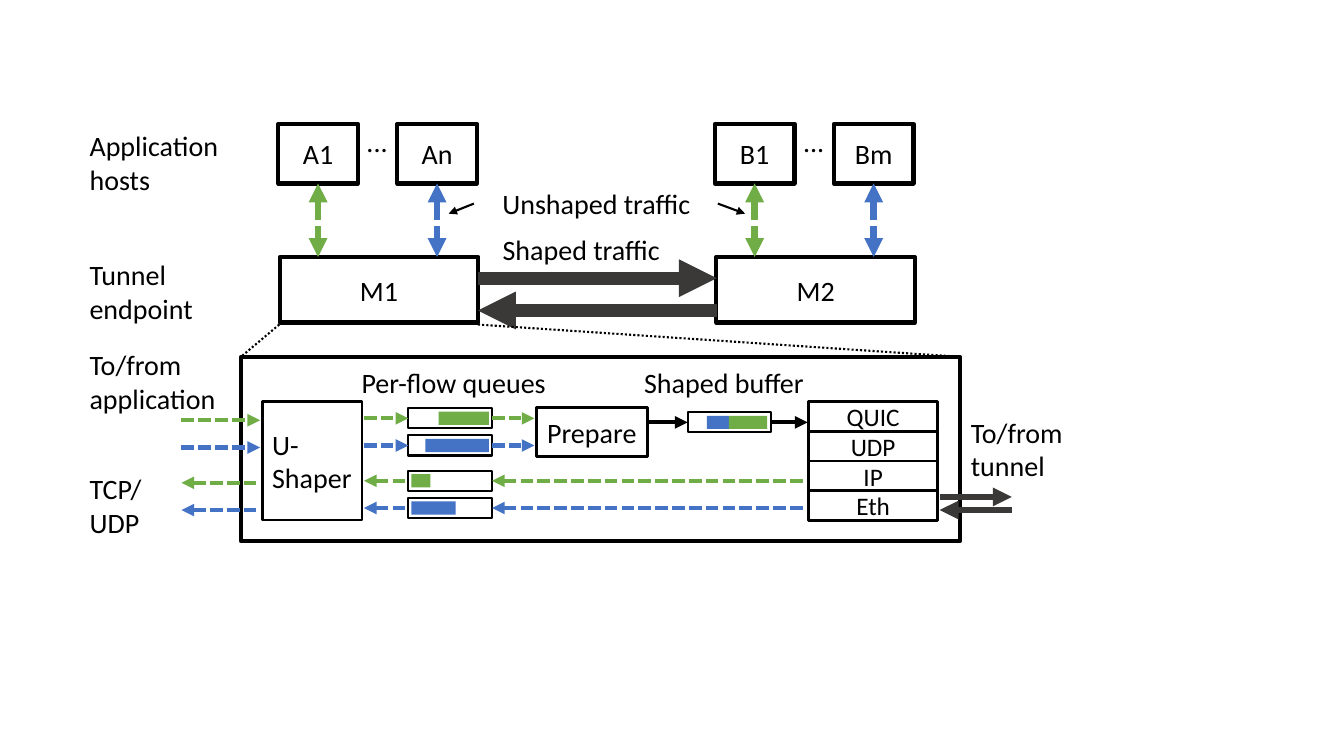
from lxml import etree
from pptx import Presentation
from pptx.dml.color import RGBColor
from pptx.enum.dml import MSO_LINE
from pptx.enum.shapes import MSO_CONNECTOR, MSO_SHAPE
from pptx.enum.text import MSO_ANCHOR, PP_ALIGN
from pptx.oxml.ns import qn
from pptx.util import Inches, Pt

RECT, STRAIGHT = MSO_SHAPE.RECTANGLE, MSO_CONNECTOR.STRAIGHT
DASH, DOT = MSO_LINE.SQUARE_DOT, MSO_LINE.ROUND_DOT
LEFT, CENTER = PP_ALIGN.LEFT, PP_ALIGN.CENTER
TOP, MIDDLE = MSO_ANCHOR.TOP, MSO_ANCHOR.MIDDLE
SIDE_LEFT, SIDE_BOTTOM, SIDE_RIGHT = 1, 2, 3

BLACK = RGBColor(0x00, 0x00, 0x00)
GREEN = RGBColor(0x70, 0xAD, 0x47)
BLUE = RGBColor(0x44, 0x72, 0xC4)
GRAY = RGBColor(0x3B, 0x38, 0x38)
FLOWS = (GREEN, BLUE)

# The slide is a grid of square cells; every length below counts cells
CELL = Inches(0.1)
LINE_HEIGHT, TWO_LINES = 4.4, 7.7


def cells(*counts):
    return [round(count * CELL) for count in counts]


def write(frame, text, align, anchor, size=20):
    frame.word_wrap = True
    frame.vertical_anchor = anchor
    frame.text = text
    paragraph = frame.paragraphs[0]
    paragraph.alignment = align
    font_format = {"name": "Calibri", "size": Pt(size)}
    for run in paragraph.runs:
        for attribute, value in font_format.items():
            setattr(run.font, attribute, value)
        run.font.color.rgb = BLACK


def outline(slide, x, y, w, h, weight, text="", size=20, align=CENTER):
    frame = slide.shapes.add_shape(RECT, *cells(x, y, w, h))
    frame.shadow.inherit = False
    frame.fill.background()
    frame.line.color.rgb = BLACK
    frame.line.width = Pt(weight)
    if text:
        write(frame.text_frame, text, align, MIDDLE, size)
    return frame


def bar(slide, x, y, w, color):
    """Filled part of a queue or buffer."""
    block = slide.shapes.add_shape(RECT, *cells(x, y, w, 1.3))
    block.shadow.inherit = False
    block.fill.solid()
    block.fill.fore_color.rgb = color
    block.line.fill.background()


def label(slide, x, y, w, h, text, align=LEFT):
    caption = slide.shapes.add_textbox(*cells(x, y, w, h))
    write(caption.text_frame, text, align, TOP)


def link(slide, x1, y1, x2, y2, color, weight, dash=None, ends=("tailEnd",)):
    """Line with a triangle at its start (headEnd) and/or finish (tailEnd)."""
    line = slide.shapes.add_connector(STRAIGHT, *cells(x1, y1, x2, y2))
    line.line.color.rgb = color
    line.line.width = Pt(weight)
    if dash:
        line.line.dash_style = dash
    stroke = line.line._get_or_add_ln()
    for end in ends:
        etree.SubElement(stroke, qn("a:" + end), type="triangle")
    etree.SubElement(line._element.spPr, qn("a:effectLst"))
    return line


def draw_site(slide, x, y, hosts, endpoint):
    """Two application hosts above their tunnel endpoint."""
    host_w, host_h, pitch, endpoint_y = 7.9, 5.9, 11.8, 13.2
    outline(slide, x + 0.15, y + endpoint_y, 19.7, 6.5, 3, endpoint)
    for i, (host, color) in enumerate(zip(hosts, FLOWS)):
        host_x = x + i * pitch
        middle = host_x + host_w / 2
        box = outline(slide, host_x, y, host_w, host_h, 3, host)
        flow = link(slide, middle, y + host_h, middle, y + endpoint_y,
                    color, 4.5, DASH, ("headEnd", "tailEnd"))
        flow.begin_connect(box, SIDE_BOTTOM)
    label(slide, x + 6.3, y - 0.4, 7, LINE_HEIGHT, "...", CENTER)


def draw_traffic(slide, x, y, w):
    """Tunnel between the endpoints, with the captions above it."""
    link(slide, x, y + 9.6, x + w, y + 9.6, GRAY, 9)
    link(slide, x, y + 12.8, x + w, y + 12.8, GRAY, 9, ends=("headEnd",))
    label(slide, x - 0.4, y, 24.3, LINE_HEIGHT, "Unshaped traffic", CENTER)
    label(slide, x + 0.1, y + 4.6, 20.3, LINE_HEIGHT, "Shaped traffic", CENTER)
    for start, finish in ((-0.4, -2.9), (w + 0.1, w + 2.8)):
        link(slide, x + start, y + 2.2, x + finish, y + 3.2, BLACK, 1.5)


def draw_queues(slide, x, y):
    """Four per-flow queues: two outgoing, two incoming, and their arrows."""
    queues = (  # row, bar offset, bar width, colour, outgoing
        (5.1, 3.0, 5.0, GREEN, True),
        (7.8, 1.7, 6.3, BLUE, True),
        (11.3, 0.3, 1.9, GREEN, False),
        (14.0, 0.3, 4.4, BLUE, False),
    )
    queue_x, queue_w, queue_h = x + 16.6, 8.3, 2
    for row, offset, filled, color, outgoing in queues:
        top = y + row
        middle = top + queue_h / 2
        style = (color, 3, DASH, ("tailEnd" if outgoing else "headEnd",))
        queue = outline(slide, queue_x, top, queue_w, queue_h, 1.5)
        bar(slide, queue_x + offset, top + 0.35, filled, color)
        link(slide, x - 5.9, middle + 0.2, x + 1.9, middle + 0.2, *style)
        before = link(slide, x + 12.2, middle, queue_x, middle, *style)
        before.end_connect(queue, SIDE_LEFT)
        reach = x + (29.1 if outgoing else 56.4)
        after = link(slide, queue_x + queue_w, middle, reach, middle, *style)
        after.begin_connect(queue, SIDE_RIGHT)


def draw_buffer(slide, x, y):
    """Shaped buffer with its arrows in and out."""
    buffer_w, buffer_h = 8.3, 2
    middle = y + buffer_h / 2
    buffer = outline(slide, x, y, buffer_w, buffer_h, 1.5)
    bar(slide, x + 1.9, y + 0.35, 2.2, BLUE)
    bar(slide, x + 4.1, y + 0.35, 3.8, GREEN)
    inflow = link(slide, x - 3.8, middle, x, middle, BLACK, 3)
    inflow.end_connect(buffer, SIDE_LEFT)
    outflow = link(slide, x + buffer_w, middle, x + 11.9, middle, BLACK, 3)
    outflow.begin_connect(buffer, SIDE_RIGHT)


def draw_stack(slide, x, y):
    """Protocol layers and the arrows to and from the tunnel."""
    layer_w, layer_h = 12.8, 2.97
    for i, layer in enumerate(("QUIC", "UDP", "IP", "Eth")):
        outline(slide, x, y + i * layer_h, layer_w, layer_h, 2, layer, 18)
    for row, end in ((9.5, "tailEnd"), (10.8, "headEnd")):
        link(slide, x + 13, y + row, x + 20.15, y + row, GRAY, 4.5, ends=(end,))


def draw_endpoint_detail(slide, x, y, w, h):
    """Inside of one tunnel endpoint."""
    outline(slide, x, y, w, h, 3)
    outline(slide, x + 2.1, y + 4.4, 9.9, 11.8, 2, "U-Shaper", align=LEFT)
    draw_queues(slide, x, y)
    outline(slide, x + 29.3, y + 5, 11, 4.9, 2, "Prepare")
    draw_buffer(slide, x + 44.3, y + 5.5)
    draw_stack(slide, x + 56.3, y + 4.4)
    label(slide, x + 5.7, y + 0.4, 30.8, LINE_HEIGHT, "Per-flow queues", CENTER)
    label(slide, x + 37.3, y + 0.4, 21.2, LINE_HEIGHT, "Shaped buffer", CENTER)
    label(slide, x + w + 0.1, y + 5.3, 13.1, TWO_LINES, "To/from tunnel")


def draw_row_labels(slide, x, w):
    rows = ((12.3, "Application hosts"), (25.1, "Tunnel endpoint"),
            (34, "To/from application"), (46.3, "TCP/\vUDP"))
    for y, text in rows:
        label(slide, x, y, w, TWO_LINES, text)


def main():
    deck = Presentation()
    deck.slide_width, deck.slide_height = Inches(13.33), Inches(7.5)
    slide = deck.slides.add_slide(deck.slide_layouts[6])

    # Both sites and the tunnel between them
    draw_site(slide, 27.6, 12.3, ("A1", "An"), "M1")
    draw_site(slide, 70.9, 12.3, ("B1", "Bm"), "M2")
    draw_traffic(slide, 47.4, 18, 23.7)

    # Enlarged view of M1
    detail_x, detail_y, detail_w = 23.9, 35.4, 71.3
    draw_endpoint_detail(slide, detail_x, detail_y, detail_w, 18.3)
    for corner, target in ((27.7, detail_x), (47.4, detail_x + detail_w)):
        link(slide, corner, 32.2, target, detail_y, BLACK, 1.5, DOT, ())

    draw_row_labels(slide, 7.9, 16.7)
    deck.save("out.pptx")


if __name__ == "__main__":
    main()
